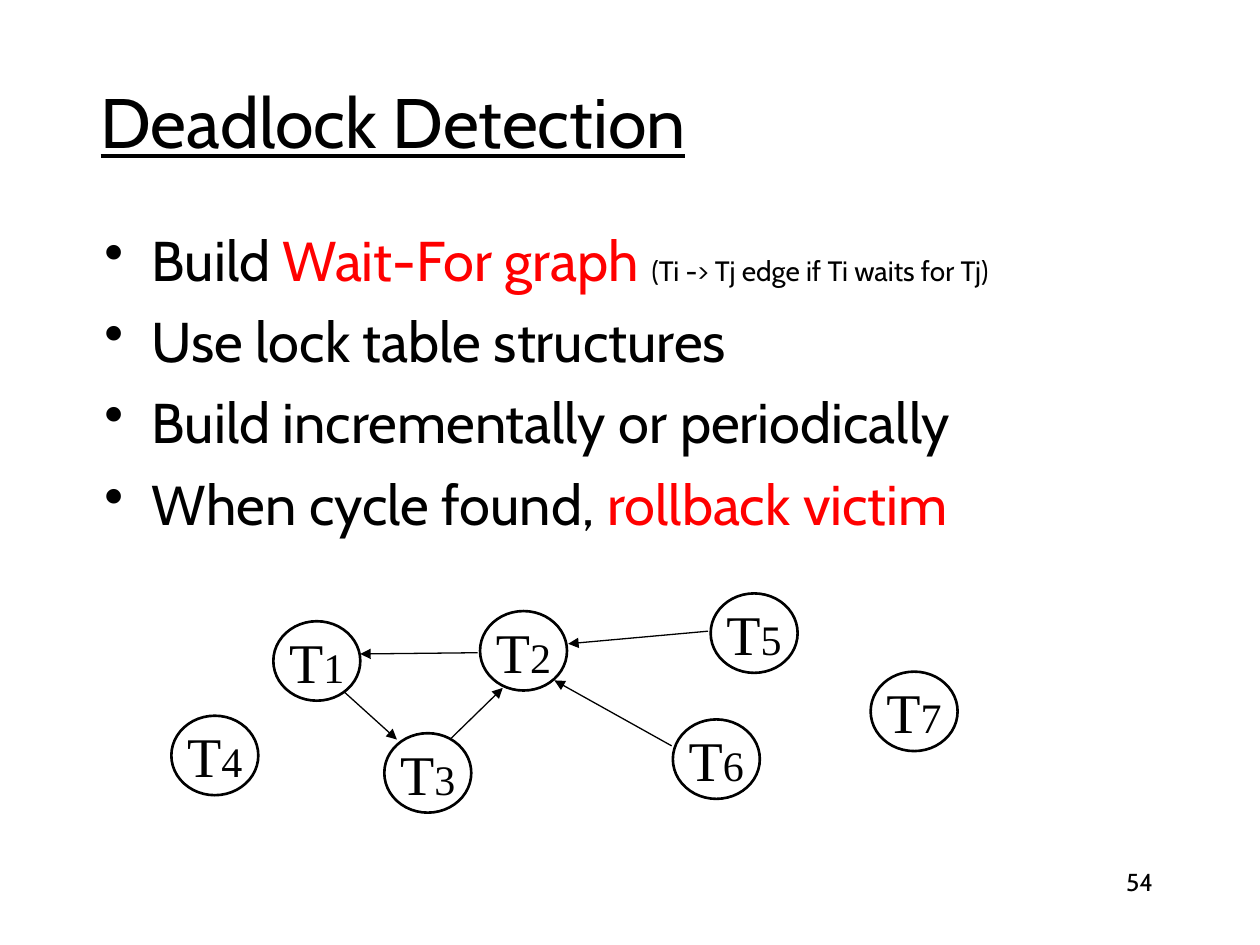
from typing import NamedTuple

from lxml.etree import SubElement
from pptx import Presentation
from pptx.dml.color import RGBColor
from pptx.enum.shapes import MSO_CONNECTOR, MSO_SHAPE
from pptx.enum.text import MSO_ANCHOR, PP_ALIGN
from pptx.oxml.ns import qn
from pptx.slide import Slide
from pptx.text.text import TextFrame
from pptx.util import Pt

BLACK, RED, WHITE = "000000", "FF0000", "FFFFFF"
SANS, SERIF = "Cabin", "Times New Roman"
NODE_WIDTH, NODE_HEIGHT = 49.7, 45.4
BULLET_INDENT = 27


class Span(NamedTuple):
    text: str
    color: str = BLACK
    size: float | None = None


class Transaction(NamedTuple):
    number: int
    left: float
    top: float


class Wait(NamedTuple):
    """An arrow from a waiting transaction to the one it waits for."""
    start: tuple[float, float]
    end: tuple[float, float]


BULLETS = [
    [Span("Build "), Span("Wait-For graph ", RED),
     Span("(Ti -> Tj edge if Ti waits for Tj)", size=16)],
    [Span("Use lock table structures")],
    [Span("Build incrementally or periodically")],
    [Span("When cycle found, "), Span("rollback victim", RED)],
]
TRANSACTIONS = [
    Transaction(1, 156.2, 355),
    Transaction(2, 274.3, 349.2),
    Transaction(3, 219.6, 419),
    Transaction(4, 97.9, 409),
    Transaction(5, 406.1, 339.1),
    Transaction(6, 384.5, 411.1),
    Transaction(7, 497.5, 383.8),
]
WAITS = [
    Wait((196.6, 395.3), (226.8, 422.6)),
    Wait((257.8, 421.9), (287.3, 393.1)),
    Wait((272.9, 373), (205.9, 373.7)),
    Wait((404.6, 360.7), (324.7, 367.9)),
    Wait((383.8, 426.2), (316.8, 388.8)),
]


def color(hex_string: str) -> RGBColor:
    return RGBColor.from_string(hex_string)


def set_font(font, name: str, size: float) -> None:
    font.name = name
    font.size = Pt(size)
    font.color.rgb = color(BLACK)


def add_text_frame(slide: Slide, left: float, top: float,
                   width: float, height: float) -> TextFrame:
    box = slide.shapes.add_textbox(Pt(left), Pt(top), Pt(width), Pt(height))
    box.text_frame.word_wrap = True
    return box.text_frame


def add_title(slide: Slide, text: str) -> None:
    frame = add_text_frame(slide, 50.4, 35.3, 612, 67.7)
    frame.vertical_anchor = MSO_ANCHOR.MIDDLE
    paragraph = frame.paragraphs[0]
    paragraph.text = text
    set_font(paragraph.font, SANS, 40)
    paragraph.font.underline = True


def add_page_number(slide: Slide, text: str) -> None:
    paragraph = add_text_frame(slide, 516.2, 491.8, 149.8, 36).paragraphs[0]
    paragraph.text = text
    paragraph.alignment = PP_ALIGN.RIGHT
    set_font(paragraph.font, SANS, 14)


def set_bullet(paragraph) -> None:
    properties = paragraph._p.get_or_add_pPr()
    properties.set("marL", str(Pt(BULLET_INDENT)))
    properties.set("indent", str(-Pt(BULLET_INDENT)))
    bullet_color = SubElement(properties, qn("a:buClr"))
    SubElement(bullet_color, qn("a:srgbClr"), val=BLACK)
    SubElement(properties, qn("a:buChar"), char="•")


def add_bullets(slide: Slide, bullets: list[list[Span]]) -> None:
    frame = add_text_frame(slide, 52.6, 125.3, 612, 193)
    for index, spans in enumerate(bullets):
        paragraph = frame.add_paragraph() if index else frame.paragraphs[0]
        set_bullet(paragraph)
        if index:
            paragraph.space_before = Pt(8)
        set_font(paragraph.font, SANS, 32)
        for span in spans:
            run = paragraph.add_run()
            run.text = span.text
            run.font.color.rgb = color(span.color)
            if span.size:
                run.font.size = Pt(span.size)


def add_transaction(slide: Slide, transaction: Transaction) -> None:
    node = slide.shapes.add_shape(
        MSO_SHAPE.OVAL, Pt(transaction.left), Pt(transaction.top),
        Pt(NODE_WIDTH), Pt(NODE_HEIGHT))
    node.shadow.inherit = False
    node.fill.solid()
    node.fill.fore_color.rgb = color(WHITE)
    node.line.color.rgb = color(BLACK)
    node.line.width = Pt(1.5)
    node.text_frame.word_wrap = False
    node.text_frame.vertical_anchor = MSO_ANCHOR.MIDDLE
    paragraph = node.text_frame.paragraphs[0]
    paragraph.alignment = PP_ALIGN.CENTER
    for text, size in (("T", 32), (str(transaction.number), 24)):
        run = paragraph.add_run()
        run.text = text
        set_font(run.font, SERIF, size)


def add_wait(slide: Slide, wait: Wait) -> None:
    arrow = slide.shapes.add_connector(
        MSO_CONNECTOR.STRAIGHT, *map(Pt, wait.start + wait.end))
    arrow.line.color.rgb = color(BLACK)
    arrow.line.width = Pt(0.75)
    SubElement(arrow.line._get_or_add_ln(), qn("a:tailEnd"), type="triangle")
    SubElement(arrow._element.spPr, qn("a:effectLst"))


def main() -> None:
    presentation = Presentation()
    presentation.slide_width = Pt(720)
    presentation.slide_height = Pt(540)
    slide = presentation.slides.add_slide(presentation.slide_layouts[6])
    add_page_number(slide, "54")
    add_title(slide, "Deadlock Detection")
    add_bullets(slide, BULLETS)
    for transaction in TRANSACTIONS:
        add_transaction(slide, transaction)
    for wait in WAITS:
        add_wait(slide, wait)
    presentation.save("out.pptx")


if __name__ == "__main__":
    main()
